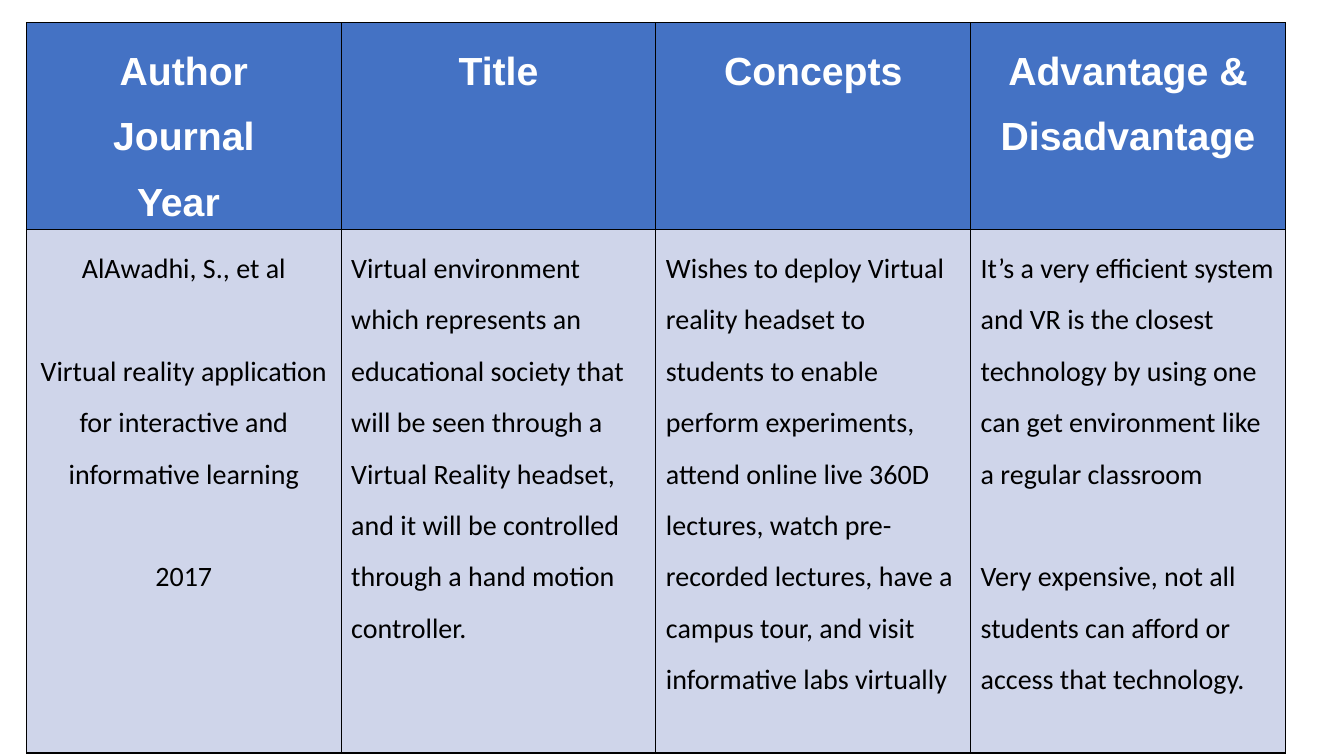
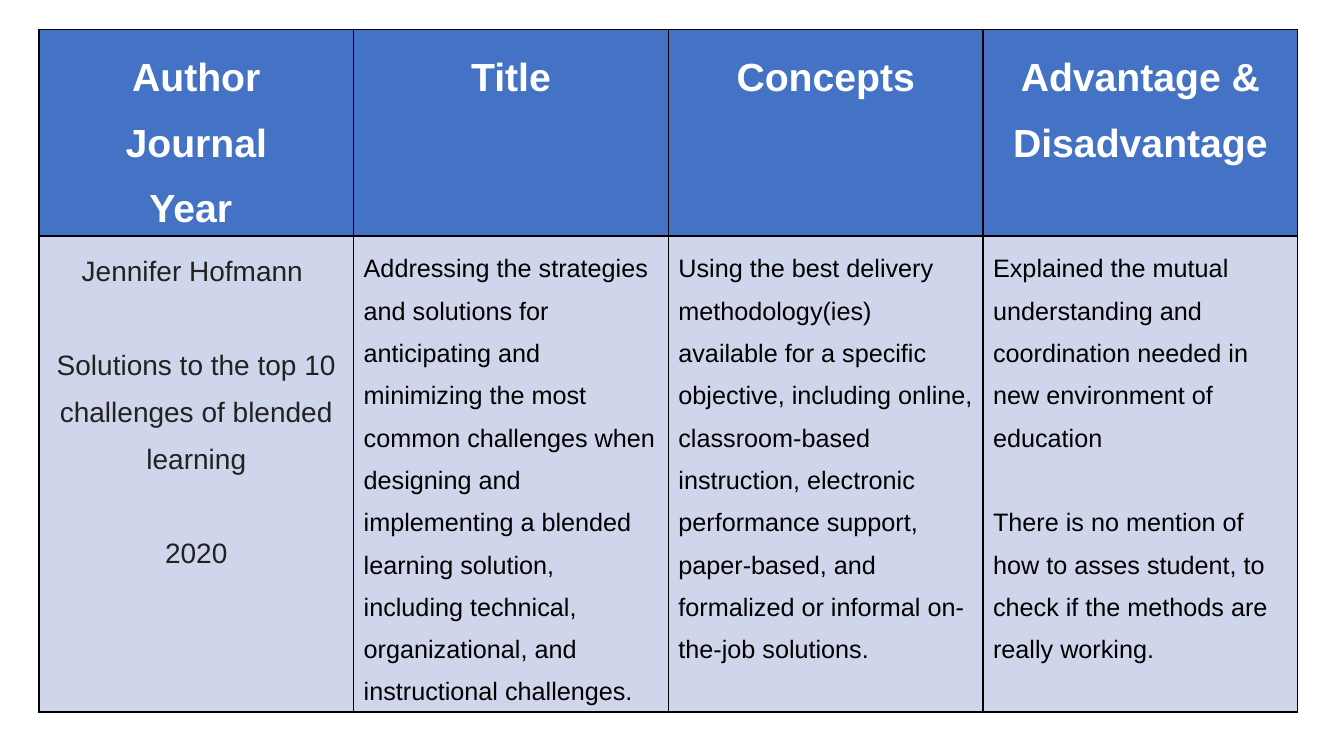
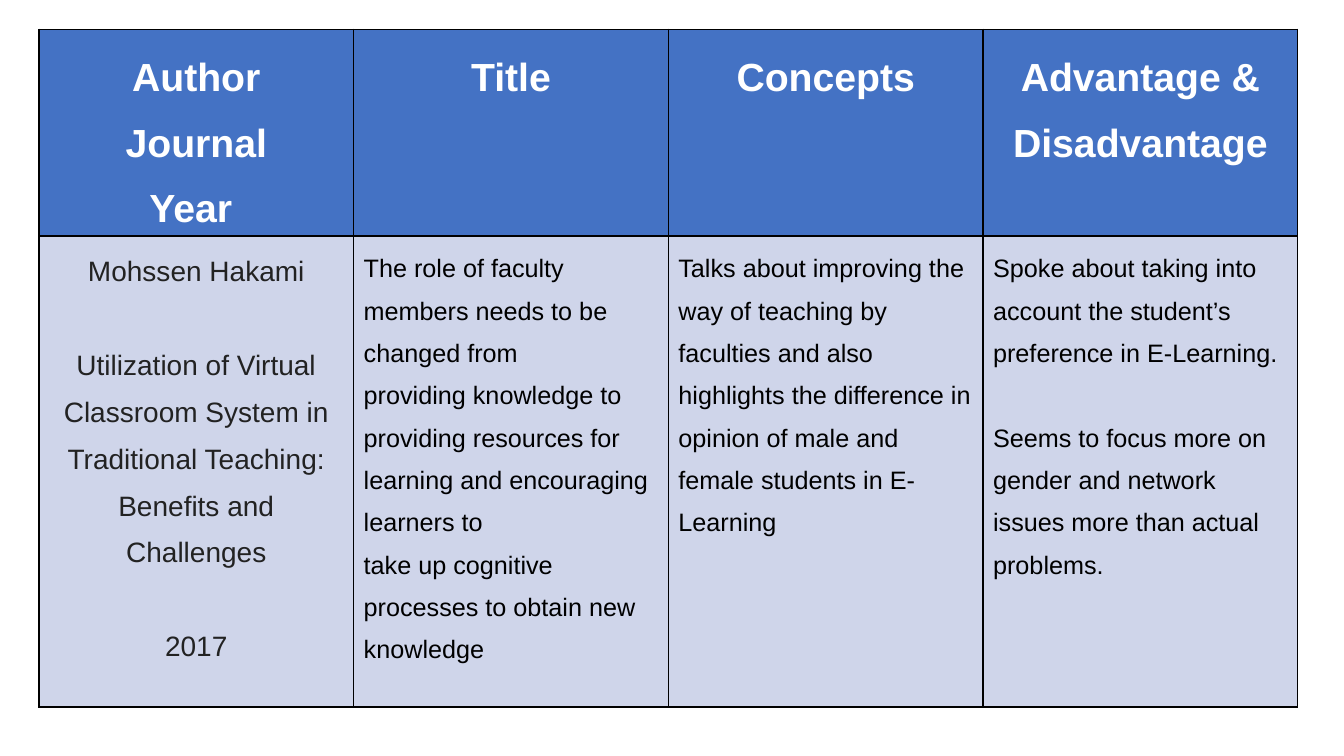
from dataclasses import dataclass

from lxml.etree import SubElement
from pptx import Presentation
from pptx.dml.color import RGBColor
from pptx.enum.text import PP_ALIGN as Align
from pptx.oxml.ns import qn
from pptx.slide import Slide
from pptx.table import _Cell as Cell
from pptx.util import Pt


@dataclass(frozen=True)
class TextStyle:
    font: str
    size: float
    color: str
    gap: float = 0  # space between separate entries in one cell
    bold: bool = False


@dataclass(frozen=True)
class Theme:
    header_fill: str = "4472C4"
    body_fill: str = "CFD5EA"
    border: str = "000000"
    border_width: float = 1
    line_spacing: float = 1.5
    column_width: float = 224.8
    header_height: float = 147.6
    header: TextStyle = TextStyle("Arial", 28, "FFFFFF", bold=True)
    calibri: TextStyle = TextStyle("Calibri", 20, "000000", gap=36.7)
    source: TextStyle = TextStyle("Arial", 20, "222222", gap=33.5)
    detail: TextStyle = TextStyle("Arial", 18, "000000", gap=30.2)


THEME = Theme()
HEADINGS = (
    ("Author", "Journal", "Year "),
    ("Title",),
    ("Concepts",),
    ("Advantage &", "Disadvantage"),
)


@dataclass(frozen=True)
class Review:
    """One reviewed paper and the place of its table."""

    source: tuple[str, ...]
    title: tuple[str, ...]
    concepts: tuple[str, ...]
    verdict: tuple[str, ...]
    left: float = 27.8
    top: float = 20.9
    body_height: float = 340
    source_style: TextStyle = THEME.source
    detail_style: TextStyle = THEME.detail


REVIEWS = (
    Review(
        source=(
            "AlAwadhi, S., et al",
            "Virtual reality application for interactive and informative learning",
            "2017",
        ),
        title=(
            "Virtual environment which represents an educational society that will be "
            "seen through a Virtual Reality headset, and it will be controlled through "
            "a hand motion controller.",
        ),
        concepts=(
            "Wishes to deploy Virtual reality headset to students to enable perform "
            "experiments, attend online live 360D lectures, watch pre-recorded lectures, "
            "have a campus tour, and visit informative labs virtually",
        ),
        verdict=(
            "It’s a very efficient system and VR is the closest technology by using one "
            "can get environment like a regular classroom",
            "Very expensive, not all students can afford or access that technology.",
        ),
        left=18.9,
        top=16.3,
        body_height=374,
        source_style=THEME.calibri,
        detail_style=THEME.calibri,
    ),
    Review(
        source=(
            "Jennifer Hofmann ",
            "Solutions to the top 10 challenges of blended learning",
            "2020",
        ),
        title=(
            "Addressing the strategies and solutions for anticipating and minimizing the "
            "most common challenges when designing and implementing a blended learning "
            "solution, including technical, organizational, and instructional challenges.",
        ),
        concepts=(
            "Using the best delivery methodology(ies) available for a specific objective, "
            "including online, classroom-based instruction, electronic performance "
            "support, paper-based, and formalized or informal on-the-job solutions.",
        ),
        verdict=(
            "Explained the mutual understanding and coordination needed in new "
            "environment of education",
            "There is no mention of how to asses student, to check if the methods are "
            "really working.",
        ),
    ),
    Review(
        source=(
            "Mohssen Hakami",
            "Utilization of Virtual Classroom System in Traditional Teaching: Benefits "
            "and Challenges",
            "2017",
        ),
        title=(
            "The role of faculty members needs to be changed from",
            "providing knowledge to providing resources for learning and encouraging "
            "learners to",
            "take up cognitive processes to obtain new knowledge",
        ),
        concepts=(
            "Talks about improving the way of teaching by faculties and also highlights "
            "the difference in opinion of male and female students in E-Learning",
        ),
        verdict=(
            "Spoke about taking into account the student’s preference in E-Learning.",
            "Seems to focus more on gender and network issues more than actual problems.",
        ),
        body_height=336.5,
    ),
)


def draw_borders(cell: Cell) -> None:
    properties = cell._tc.get_or_add_tcPr()
    for side in ("a:lnL", "a:lnR", "a:lnT", "a:lnB"):
        line = SubElement(properties, qn(side), w=str(Pt(THEME.border_width)))
        fill = SubElement(line, qn("a:solidFill"))
        SubElement(fill, qn("a:srgbClr"), val=THEME.border)


def fill_cell(
    cell: Cell,
    lines: tuple[str, ...],
    *,
    style: TextStyle,
    fill: str,
    align: Align = Align.LEFT,
    gap: float = 0,
) -> None:
    draw_borders(cell)
    cell.fill.solid()
    cell.fill.fore_color.rgb = RGBColor.from_string(fill)
    frame = cell.text_frame
    for index, line in enumerate(lines):
        para = frame.add_paragraph() if index else frame.paragraphs[0]
        para.alignment = align
        para.line_spacing = THEME.line_spacing
        para.space_before = Pt(gap if index else 0)
        span = para.add_run()
        span.text = line
        span.font.name = style.font
        span.font.size = Pt(style.size)
        span.font.bold = style.bold
        span.font.color.rgb = RGBColor.from_string(style.color)


def add_review_table(page: Slide, review: Review) -> None:
    heights = (THEME.header_height, review.body_height)
    table = page.shapes.add_table(
        len(heights),
        len(HEADINGS),
        Pt(review.left),
        Pt(review.top),
        Pt(THEME.column_width * len(HEADINGS)),
        Pt(sum(heights)),
    ).table
    table.horz_banding = False
    for row, height in zip(table.rows, heights):
        row.height = Pt(height)
    for column, heading in enumerate(HEADINGS):
        table.columns[column].width = Pt(THEME.column_width)
        fill_cell(
            table.cell(0, column),
            heading,
            style=THEME.header,
            fill=THEME.header_fill,
            align=Align.CENTER,
        )

    source, detail = review.source_style, review.detail_style
    body = (
        (review.source, source, Align.CENTER, source.gap),
        (review.title, detail, Align.LEFT, 0),
        (review.concepts, detail, Align.LEFT, 0),
        (review.verdict, detail, Align.LEFT, detail.gap),
    )
    for column, (lines, style, align, gap) in enumerate(body):
        fill_cell(
            table.cell(1, column),
            lines,
            style=style,
            fill=THEME.body_fill,
            align=align,
            gap=gap,
        )


def main() -> None:
    deck = Presentation()
    deck.slide_width, deck.slide_height = Pt(960), Pt(540)
    blank_layout = deck.slide_layouts[6]
    for review in REVIEWS:
        add_review_table(deck.slides.add_slide(blank_layout), review)
    deck.save("out.pptx")


if __name__ == "__main__":
    main()
